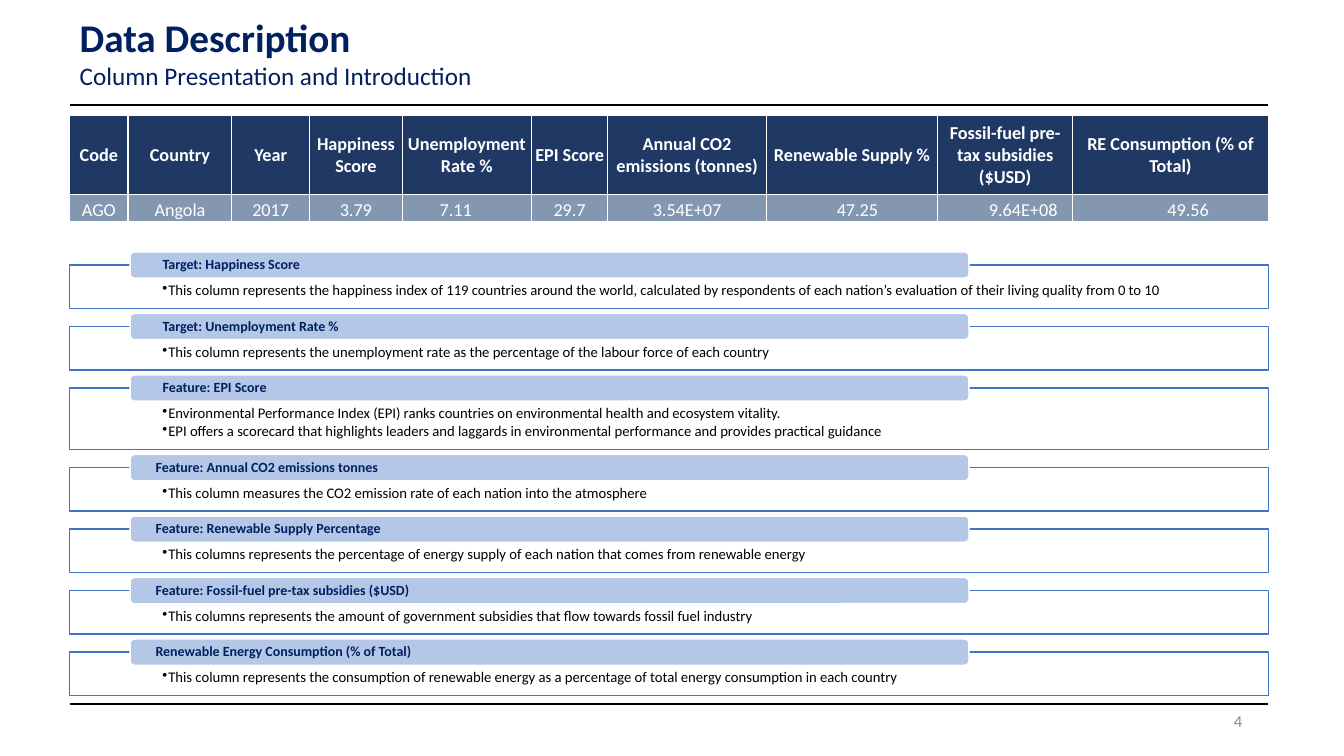
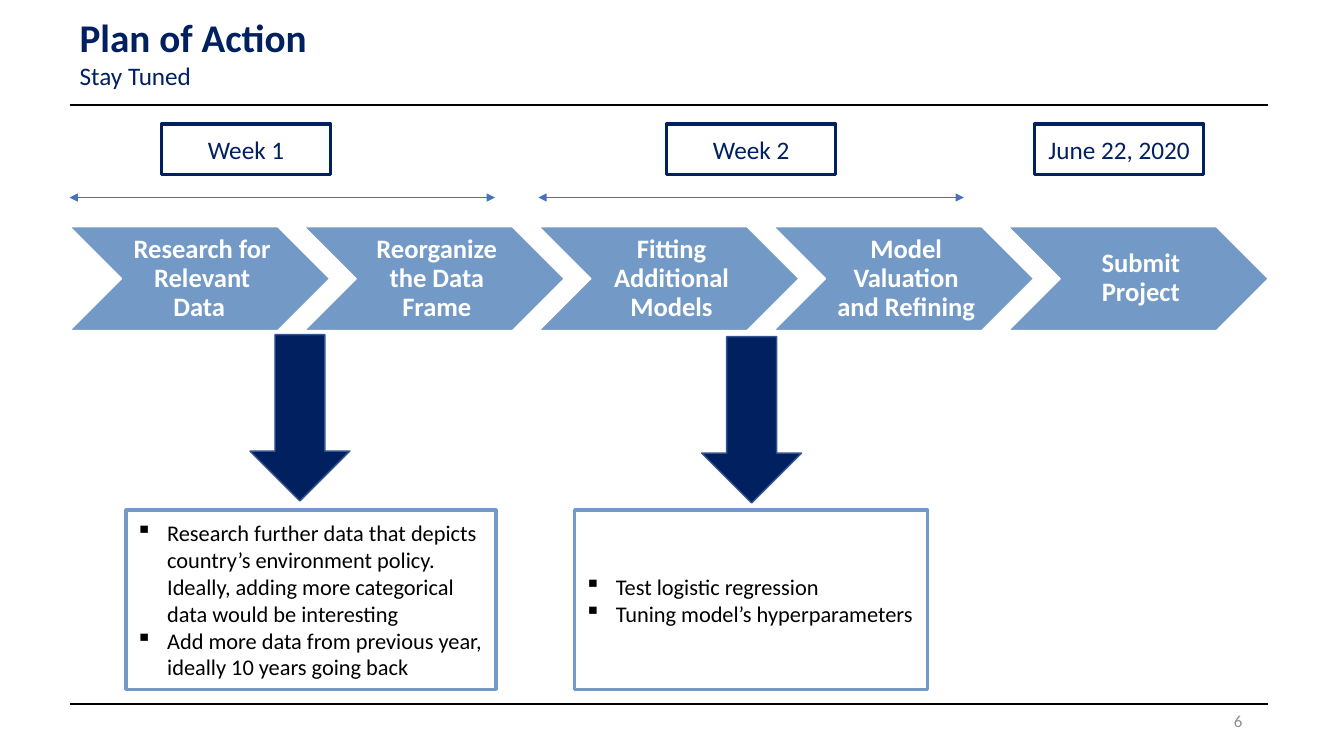
from dataclasses import dataclass

from lxml import etree
from pptx import Presentation
from pptx.dml.color import RGBColor
from pptx.enum.shapes import MSO_CONNECTOR, MSO_SHAPE
from pptx.enum.text import MSO_ANCHOR, MSO_AUTO_SIZE, PP_ALIGN
from pptx.oxml.ns import qn
from pptx.util import Inches, Pt

STRAIGHT = MSO_CONNECTOR.STRAIGHT
RECTANGLE, ROUNDED = MSO_SHAPE.RECTANGLE, MSO_SHAPE.ROUNDED_RECTANGLE
CHEVRON, DOWN_ARROW = MSO_SHAPE.CHEVRON, MSO_SHAPE.DOWN_ARROW
TOP, MIDDLE, BOTTOM = MSO_ANCHOR.TOP, MSO_ANCHOR.MIDDLE, MSO_ANCHOR.BOTTOM
LEFT, CENTER, RIGHT = PP_ALIGN.LEFT, PP_ALIGN.CENTER, PP_ALIGN.RIGHT
NO_AUTOFIT = MSO_AUTO_SIZE.NONE
TITLE_ONLY = 5
EDGE_LEFT, EDGE_RIGHT = 0.69, 12.58
CONTENT_WIDTH = EDGE_RIGHT - EDGE_LEFT


@dataclass(frozen=True)
class Theme:
    font: str = "Calibri"
    navy: str = "002060"
    black: str = "000000"
    white: str = "FFFFFF"
    gray: str = "8C8C8C"
    blue: str = "4472C4"
    steel: str = "7399C6"
    pale: str = "B4C7E7"
    arrow_edge: str = "325491"
    table_header: str = "203864"
    table_body: str = "8497B0"
    title_size: float = 28
    subtitle_size: float = 18
    step_size: float = 19
    note_size: float = 16
    table_size: float = 13
    number_size: float = 12
    detail_size: float = 10.5
    tab_size: float = 10


THEME = Theme()


def color(value):
    return RGBColor.from_string(value)


class Deck:
    def __init__(self, theme):
        self.theme = theme
        self.presentation = Presentation()
        self.presentation.slide_width = Inches(13.33)
        self.presentation.slide_height = Inches(7.5)
        self.slide = None

    def new_slide(self, title, subtitle, number):
        theme = self.theme
        layout = self.presentation.slide_layouts[TITLE_ONLY]
        self.slide = self.presentation.slides.add_slide(layout)
        for y in (6.98, 1.04):
            self.line(EDGE_LEFT, EDGE_RIGHT, y, theme.black, 1.5)
        heading = self.slide.shapes.title
        heading.left, heading.top = Inches(EDGE_LEFT), Inches(0.08)
        heading.width, heading.height = Inches(5.55), Inches(0.88)
        frame = heading.text_frame
        self.frame(frame, TOP)
        self.run(frame.paragraphs[0], title, theme.title_size, theme.navy, True)
        self.run(frame.add_paragraph(), subtitle, theme.subtitle_size, theme.navy)
        for paragraph in frame.paragraphs:
            paragraph.alignment = LEFT
        box = self.slide.shapes.add_textbox(
            Inches(9.42), Inches(6.95), Inches(3), Inches(0.4))
        self.frame(box.text_frame, MIDDLE)
        self.add_text(box.text_frame, [number], theme.number_size, theme.gray, align=RIGHT)

    def frame(self, frame, anchor, margins=(0.1, 0.05, 0.1, 0.05)):
        frame.word_wrap = True
        frame.auto_size = NO_AUTOFIT
        frame.vertical_anchor = anchor
        self.margins(frame, margins)

    def margins(self, holder, margins):
        holder.margin_left, holder.margin_top, holder.margin_right, holder.margin_bottom = (
            Inches(margin) for margin in margins)

    def run(self, paragraph, text, size, text_color, bold=False):
        run = paragraph.add_run()
        run.text = text
        run.font.name = self.theme.font
        run.font.size = Pt(size)
        run.font.bold = bold
        run.font.color.rgb = color(text_color)

    def add_text(self, frame, texts, size, text_color, bold=False, align=LEFT,
                 spacing=None, after=0, bullet=None, indent=0):
        for index, text in enumerate(texts):
            paragraph = frame.add_paragraph() if index else frame.paragraphs[0]
            paragraph.alignment = align
            paragraph.line_spacing = spacing
            paragraph.space_after = Pt(after)
            self.run(paragraph, text, size, text_color, bold)
            if bullet:
                properties = paragraph._p.get_or_add_pPr()
                properties.set("marL", str(Inches(indent)))
                properties.set("indent", str(-Inches(indent)))
                etree.SubElement(properties, qn("a:buChar"), char=bullet)

    def shape(self, kind, left, top, width, height, fill, line, line_width=1):
        shape = self.slide.shapes.add_shape(
            kind, Inches(left), Inches(top), Inches(width), Inches(height))
        shape.shadow.inherit = False
        if fill:
            shape.fill.solid()
            shape.fill.fore_color.rgb = color(fill)
        else:
            shape.fill.background()
        shape.line.color.rgb = color(line)
        shape.line.width = Pt(line_width)
        return shape

    def line(self, start, end, y, line_color, width, arrows=False):
        connector = self.slide.shapes.add_connector(
            STRAIGHT, Inches(start), Inches(y), Inches(end), Inches(y))
        connector.line.color.rgb = color(line_color)
        connector.line.width = Pt(width)
        properties = connector._element.spPr
        if arrows:
            outline = properties.find(qn("a:ln"))
            for tag in ("a:headEnd", "a:tailEnd"):
                etree.SubElement(outline, qn(tag), type="triangle")
        etree.SubElement(properties, qn("a:effectLst"))

    def table(self, top, columns, heights):
        theme = self.theme
        table = self.slide.shapes.add_table(
            2, len(columns), Inches(EDGE_LEFT), Inches(top),
            Inches(CONTENT_WIDTH), Inches(sum(heights))).table
        table.first_row = table.horz_banding = False
        for row, height in zip(table.rows, heights):
            row.height = Inches(height)
        for index, (width, header, value, align, left, right) in enumerate(columns):
            table.columns[index].width = Inches(width)
            self.cell(table.cell(0, index), header, theme.table_header, MIDDLE, True)
            self.cell(table.cell(1, index), value, theme.table_body, BOTTOM,
                      False, align, left, right)

    def cell(self, cell, text, fill, anchor, bold, align=CENTER, left=0.01, right=0.01):
        theme = self.theme
        properties = cell._tc.get_or_add_tcPr()
        for tag in ("a:lnL", "a:lnR", "a:lnT", "a:lnB"):
            border = etree.SubElement(properties, qn(tag), w=str(Pt(1)))
            solid = etree.SubElement(border, qn("a:solidFill"))
            etree.SubElement(solid, qn("a:srgbClr"), val=theme.white)
        cell.fill.solid()
        cell.fill.fore_color.rgb = color(fill)
        cell.vertical_anchor = anchor
        self.margins(cell, (left, 0.01, right, 0))
        self.add_text(cell.text_frame, [text], theme.table_size, theme.white, bold, align)

    def definition(self, top, height, heading, heading_inset, details):
        theme = self.theme
        panel = self.shape(RECTANGLE, EDGE_LEFT, top, CONTENT_WIDTH, height,
                           theme.white, theme.blue)
        self.frame(panel.text_frame, TOP, (0.92, 0.18, 0.92, 0.09))
        self.add_text(panel.text_frame, details, theme.detail_size, theme.black,
                      spacing=0.9, after=1.5, bullet="•", indent=0.06)
        tab = self.shape(ROUNDED, 1.29, top - 0.13, 8.32, 0.26, theme.pale, theme.white)
        self.frame(tab.text_frame, MIDDLE, (heading_inset, 0, heading_inset, 0))
        self.add_text(tab.text_frame, [heading], theme.tab_size, theme.navy, True,
                      spacing=0.9)

    def step(self, left, width, text):
        theme = self.theme
        chevron = self.shape(CHEVRON, left, 2.25, width, 1.03, theme.steel, theme.white)
        self.frame(chevron.text_frame, MIDDLE, (0.08, 0.03, 0.03, 0.03))
        self.add_text(chevron.text_frame, [text], theme.step_size, theme.white, True,
                      CENTER, spacing=0.9)

    def date_box(self, left, text):
        theme = self.theme
        box = self.shape(RECTANGLE, left, 1.23, 1.68, 0.5, None, theme.navy, 2.25)
        self.frame(box.text_frame, MIDDLE)
        self.add_text(box.text_frame, [text], theme.subtitle_size, theme.navy, align=CENTER)

    def task_box(self, left, width, arrow_left, arrow_top, tasks):
        theme = self.theme
        self.shape(DOWN_ARROW, arrow_left, arrow_top, 0.99, 1.65,
                   theme.navy, theme.arrow_edge)
        box = self.shape(RECTANGLE, left, 5.06, width, 1.78, None, theme.steel, 2.25)
        self.frame(box.text_frame, MIDDLE)
        self.add_text(box.text_frame, tasks, theme.note_size, theme.black,
                      bullet="▪", indent=0.31)


COLUMNS = [
    (0.58, "Code", "AGO", CENTER, 0.01, 0.01),
    (1.03, "Country", "Angola", CENTER, 0.01, 0.01),
    (0.77, "Year", "2017", CENTER, 0.01, 0.01),
    (0.92, "Happiness Score", "3.79", CENTER, 0.01, 0.01),
    (1.28, "Unemployment Rate %", "7.11", RIGHT, 0.1, 0.59),
    (0.76, "EPI Score", "29.7", CENTER, 0.01, 0.01),
    (1.57, "Annual CO2 emissions (tonnes)", "3.54E+07", CENTER, 0.01, 0.01),
    (1.7, "Renewable Supply %", "47.25", RIGHT, 0.51, 0.59),
    (1.34, "Fossil-fuel pre-tax subsidies ($USD)", "9.64E+08", LEFT, 0.51, 0.01),
    (1.94, "RE Consumption (% of Total)", "49.56", RIGHT, 0.51, 0.59),
]

DEFINITIONS = [
    ("Target: Happiness Score", 0.31,
     ["This column represents the happiness index of 119 countries around the world, "
      "calculated by respondents of each nation’s evaluation of their living quality "
      "from 0 to 10"]),
    ("Target: Unemployment Rate % ", 0.31,
     ["This column represents the unemployment rate as the percentage of the labour "
      "force of each country"]),
    ("Feature: EPI Score", 0.31,
     ["Environmental Performance Index (EPI) ranks countries on environmental health "
      "and ecosystem vitality. ",
      "EPI offers a scorecard that highlights leaders and laggards in environmental "
      "performance and provides practical guidance"]),
    ("Feature: Annual CO2 emissions tonnes", 0.24,
     ["This column measures the CO2 emission rate of each nation into the atmosphere "]),
    ("Feature: Renewable Supply Percentage", 0.24,
     ["This columns represents the percentage of energy supply of each nation that "
      "comes from renewable energy"]),
    ("Feature: Fossil-fuel pre-tax subsidies ($USD)", 0.24,
     ["This columns represents the amount of government subsidies that flow towards "
      "fossil fuel industry"]),
    ("Renewable Energy Consumption (% of Total)", 0.24,
     ["This column represents the consumption of renewable energy as a percentage of "
      "total energy consumption in each country"]),
]

STEPS = ["Research for Relevant Data ", "Reorganize the Data Frame",
         "Fitting Additional Models", "Model Valuation and Refining", "Submit Project"]

deck = Deck(THEME)

deck.new_slide("Data Description", "Column Presentation and Introduction", "4")
deck.table(1.14, COLUMNS, (0.79, 0.27))
panel_top = 2.63
for heading, heading_inset, details in DEFINITIONS:
    panel_height = 0.43 + 0.18 * (len(details) - 1)
    deck.definition(panel_top, panel_height, heading, heading_inset, details)
    panel_top += panel_height + 0.18

deck.new_slide("Plan of Action", "Stay Tuned", "6")
step_width = 2.58
step_pitch = (CONTENT_WIDTH - step_width) / (len(STEPS) - 1)
for index, text in enumerate(STEPS):
    deck.step(EDGE_LEFT + index * step_pitch, step_width, text)
for span_left in (EDGE_LEFT, 5.34):
    deck.line(span_left, span_left + 4.22, 1.96, THEME.blue, 0.5, arrows=True)
for date_left, text in ((1.6, "Week 1"), (6.61, "Week 2"), (10.26, "June 22, 2020")):
    deck.date_box(date_left, text)
deck.task_box(1.25, 3.67, 2.48, 3.32, [
    "Research further data that depicts country’s environment policy. Ideally, adding "
    "more categorical data would be interesting ",
    "Add more data from previous year, ideally 10 years going back"])
deck.task_box(5.7, 3.5, 6.96, 3.34, [
    "Test logistic regression ", "Tuning model’s hyperparameters"])

deck.presentation.save("out.pptx")
